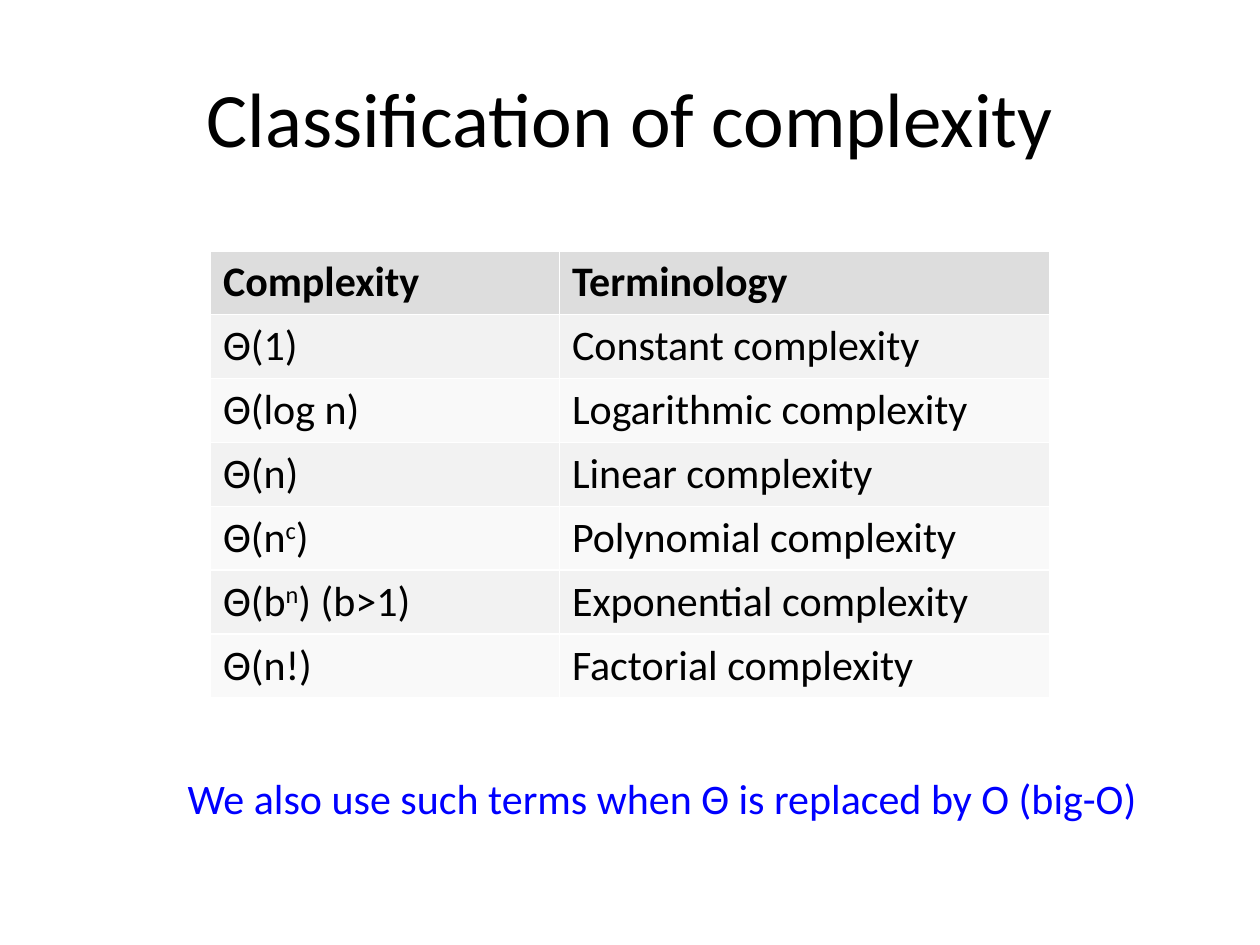
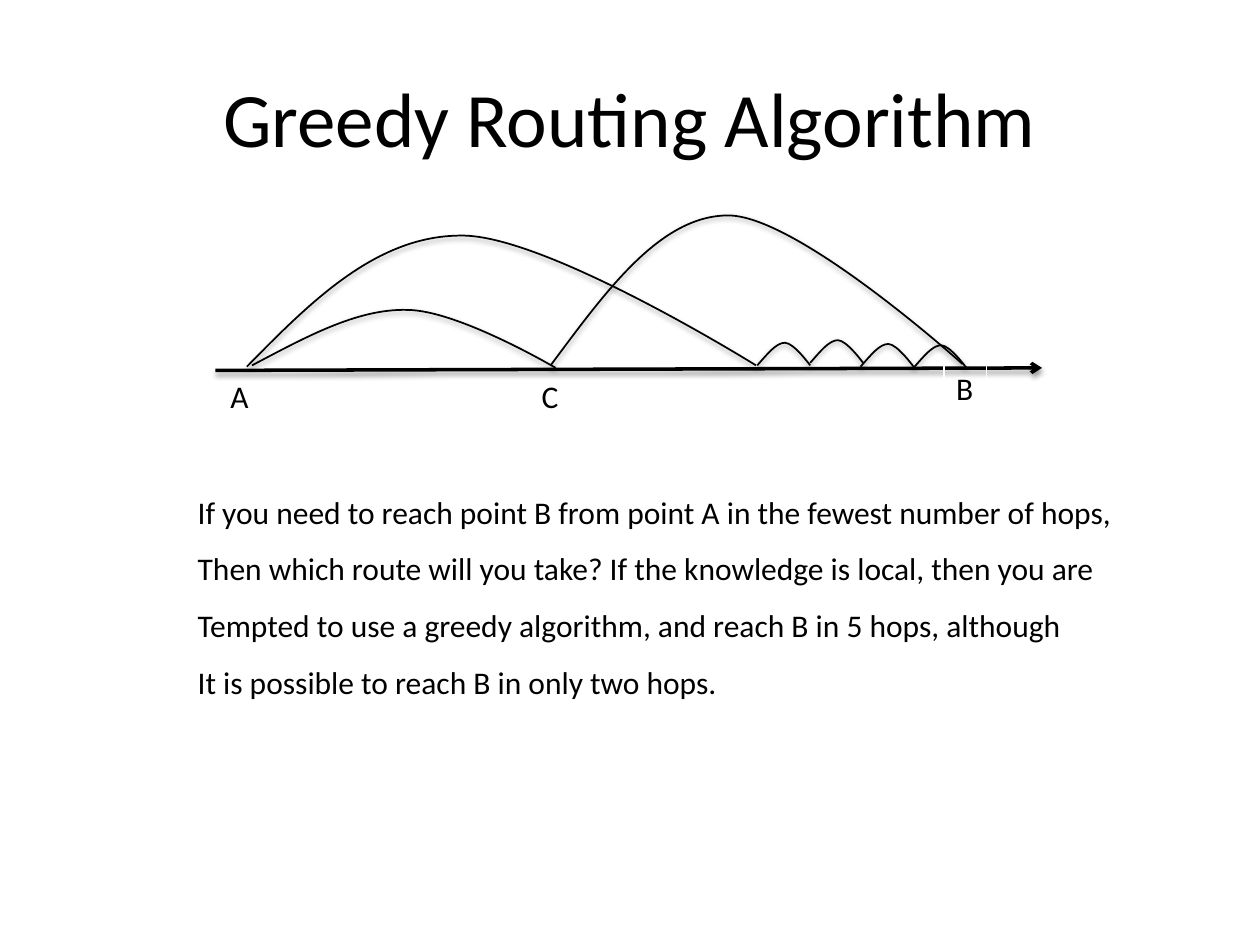
from pptx import Presentation
from pptx.dml.color import RGBColor
from pptx.enum import shapes, text
from pptx.oxml import parse_xml
from pptx.oxml.ns import nsdecls, qn
from pptx.util import Inches, Pt

FONT = "Calibri"
HUES = {"ink": "000000", "note": "0000FF", "edge": "FFFFFF",
        "head": "DDDDDD", "odd": "F2F2F2", "even": "F9F9F9"}

CLASSES = [
    ("Complexity", "Terminology"),
    ("Θ(1)", "Constant complexity"),
    ("Θ(log n)", "Logarithmic complexity"),
    ("Θ(n)", "Linear complexity"),
    ("Θ(n^c^)", "Polynomial complexity"),
    ("Θ(b^n^) (b>1)", "Exponential complexity"),
    ("Θ(n!)", "Factorial complexity"),
]
WIDTHS = (2.77, 3.89)
ROW = 0.5
NOTE = "We also use such terms when Θ is replaced by O (big-O)"

STORY = [
    "If you need to reach point B from point A in the fewest number of hops,",
    "Then which route will you take? If the knowledge is local, then you are",
    "Tempted to use a greedy algorithm, and reach B in 5 hops, although",
    "It is possible to reach B in only two hops.",
]
HOPS = [(6.01, 2.9), (6.83, 2.91), (6.43, 2.88), (7.25, 2.92)]
HOP = [(0, 0), (0.08, -0.09), (0.15, -0.18), (0.22, -0.18),
       (0.29, -0.18), (0.42, 0), (0.42, 0)]
LEAPS = [
    [(1.96, 2.91), (2.47, 2.39), (2.99, 1.87), (3.66, 1.87),
     (4.33, 1.86), (6, 2.9), (6, 2.9)],
    [(2, 2.9), (2.42, 2.68), (2.83, 2.45), (3.23, 2.46),
     (3.63, 2.46), (4.41, 2.92), (4.41, 2.92)],
    [(4.37, 2.9), (4.81, 2.31), (5.24, 1.71), (5.78, 1.71),
     (6.33, 1.71), (7.64, 2.89), (7.64, 2.89)],
]


def hue(name):
    return RGBColor.from_string(HUES[name])


def style(para, size, color="ink", bold=False):
    font = para.font
    font.name, font.size, font.bold = FONT, Pt(size), bold
    font.color.rgb = hue(color)
    return para


def start(deck, title):
    slide = deck.slides.add_slide(deck.slide_layouts[5])
    head = slide.shapes.title
    head.left, head.top, head.width, head.height = map(Inches, (0.5, 0.3, 9, 1.25))
    head.text_frame.text = title
    para = style(head.text_frame.paragraphs[0], 44)
    para.alignment = text.PP_ALIGN.CENTER
    return slide


def write(shape, lines, size, color="ink", space=None):
    frame = shape.text_frame
    frame.word_wrap = False
    frame.vertical_anchor = text.MSO_ANCHOR.TOP
    frame.text = "\n".join(lines)
    for para in frame.paragraphs:
        style(para, size, color).alignment = text.PP_ALIGN.LEFT
        if space:
            para.line_spacing = space


def label(slide, box, lines, size, **look):
    write(slide.shapes.add_textbox(*map(Inches, box)), lines, size, **look)


def ink(shape, width):
    shape.line.color.rgb = hue("ink")
    shape.line.width = Pt(width)
    props = shape._element.spPr
    for old in props.findall(qn("a:effectLst")):
        props.remove(old)
    props.append(parse_xml(
        f'<a:effectLst {nsdecls("a")}><a:outerShdw blurRad="{Pt(3.1)}" '
        f'dist="{Pt(1.6)}" dir="5400000" rotWithShape="0"><a:srgbClr val="{HUES["ink"]}">'
        '<a:alpha val="38000"/></a:srgbClr></a:outerShdw></a:effectLst>'))


def arc(slide, points):
    first, *rest = [(Inches(x), Inches(y)) for x, y in points]
    form = slide.shapes.build_freeform(*first, scale=1.0)
    form.add_line_segments(rest, close=False)
    shape = form.convert_to_shape()
    steps = list(shape._element.iter(qn("a:lnTo")))
    for i in range(0, len(steps), 3):
        curve = parse_xml(f'<a:cubicBezTo {nsdecls("a")}/>')
        steps[i].addprevious(curve)
        for step in steps[i:i + 3]:
            curve.append(step[0])
            step.getparent().remove(step)
    shape.fill.background()
    ink(shape, 1)


def classify(deck):
    slide = start(deck, "Classification of complexity")
    size = (sum(WIDTHS), ROW * len(CLASSES))
    grid = slide.shapes.add_table(len(CLASSES), len(WIDTHS),
                                  *map(Inches, (1.67, 1.99, *size))).table
    for col, width in zip(grid.columns, WIDTHS):
        col.width = Inches(width)
    for r, row in enumerate(CLASSES):
        shade = "head" if r == 0 else "odd" if r % 2 else "even"
        for c, words in enumerate(row):
            cell = grid.cell(r, c)
            cell.fill.solid()
            cell.fill.fore_color.rgb = hue(shade)
            para = style(cell.text_frame.paragraphs[0], 24, bold=r == 0)
            for i, part in enumerate(words.split("^")):
                run = para.add_run()
                run.text = part
                if i % 2:
                    run._r.get_or_add_rPr().set("baseline", "30000")
    label(slide, (1.39, 6.08, 7.78, 0.5), [NOTE], 24, color="note")


def route(deck):
    slide = start(deck, "Greedy Routing Algorithm")
    axis = slide.shapes.add_connector(
        shapes.MSO_CONNECTOR.STRAIGHT, *map(Inches, (1.71, 2.94, 8.27, 2.92)))
    ink(axis, 2)
    axis.line._get_or_add_ln().append(
        parse_xml(f'<a:tailEnd {nsdecls("a")} type="arrow"/>'))
    label(slide, (1.73, 2.94, 0.35, 0.4), ["A"], 18)
    goal = slide.shapes.add_shape(shapes.MSO_SHAPE.RECTANGLE,
                                  *map(Inches, (7.49, 2.88, 0.34, 0.4)))
    goal.shadow.inherit = False
    goal.fill.background()
    goal.line.color.rgb = hue("edge")
    goal.line.width = Pt(1)
    write(goal, ["B"], 18)
    for x, y in HOPS:
        arc(slide, [(x + dx, y + dy) for dx, dy in HOP])
    for leap in LEAPS:
        arc(slide, leap)
    label(slide, (1.47, 3.71, 7.51, 2.22), STORY, 18, space=1.5)
    label(slide, (4.2, 2.94, 0.34, 0.4), ["C"], 18)


def main():
    deck = Presentation()
    deck.slide_width, deck.slide_height = Inches(10), Inches(7.5)
    classify(deck)
    route(deck)
    deck.save("out.pptx")


if __name__ == "__main__":
    main()
